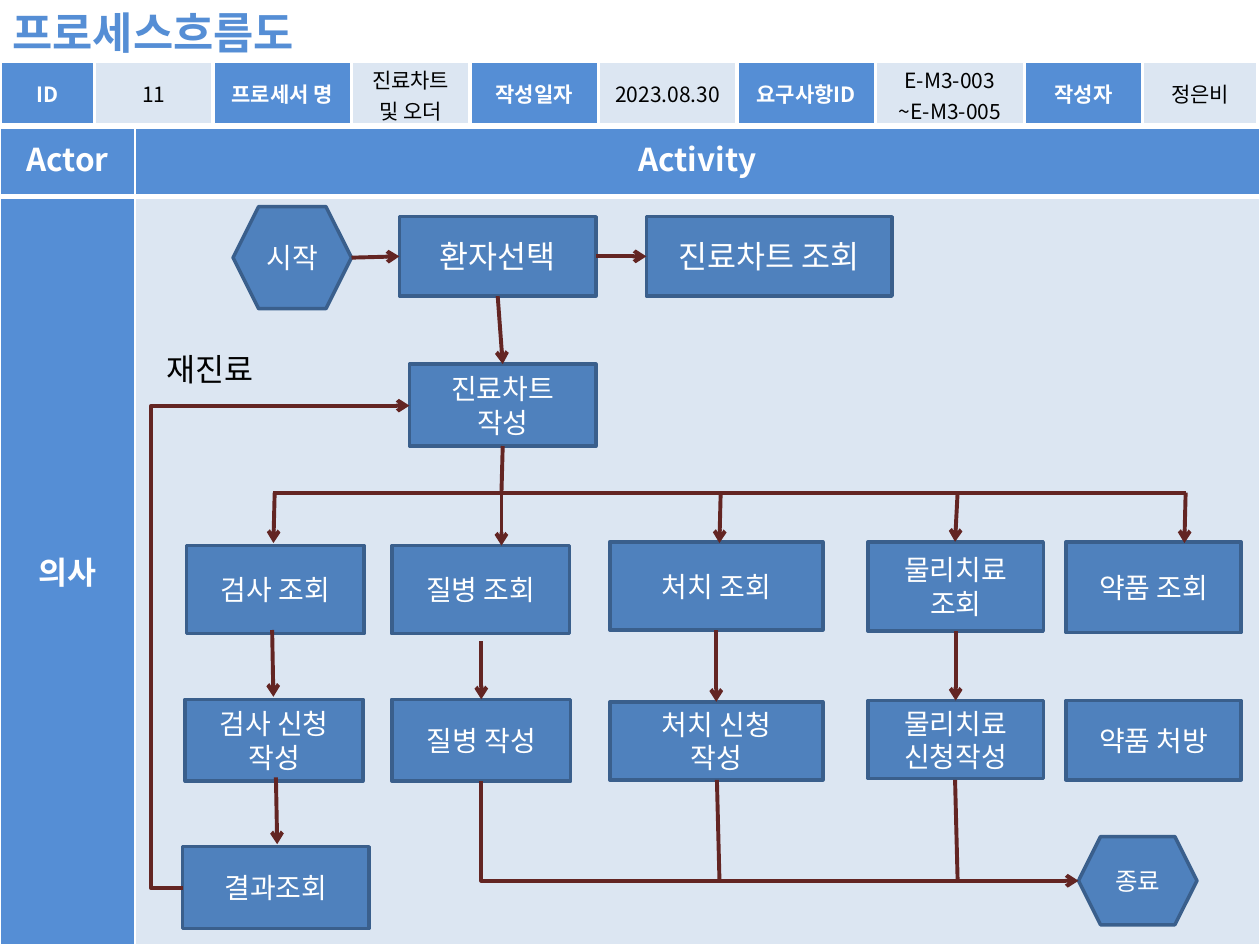
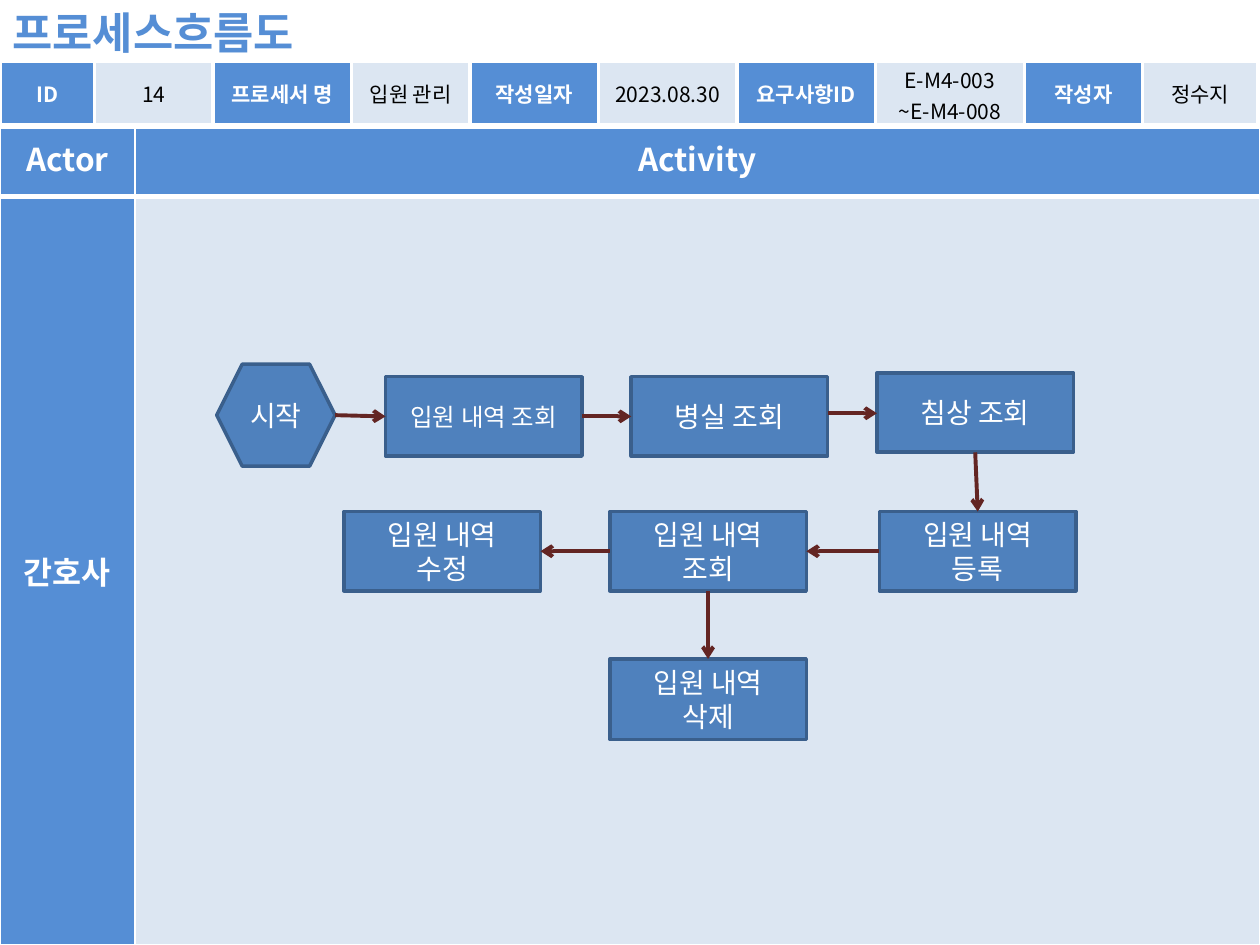
from lxml import etree
from pptx import Presentation
from pptx.dml.color import RGBColor
from pptx.enum.shapes import MSO_CONNECTOR, MSO_SHAPE
from pptx.enum.text import MSO_ANCHOR, MSO_AUTO_SIZE, PP_ALIGN
from pptx.oxml.ns import qn
from pptx.util import Inches, Pt

HEXAGON, RECTANGLE = MSO_SHAPE.HEXAGON, MSO_SHAPE.RECTANGLE
STRAIGHT, ELBOW = MSO_CONNECTOR.STRAIGHT, MSO_CONNECTOR.ELBOW
TOP, MIDDLE = MSO_ANCHOR.TOP, MSO_ANCHOR.MIDDLE
LEFT, CENTER = PP_ALIGN.LEFT, PP_ALIGN.CENTER
NO_AUTOFIT = MSO_AUTO_SIZE.NONE
TITLE_ONLY = 5

FONT = "Noto Sans CJK KR"
COLORS = {"band": "558ED5", "pale": "DCE6F2", "step": "4F81BD", "edge": "3A5F8C",
          "flow": "632523", "white": "FFFFFF", "black": "000000"}

TITLE = "프로세스흐름도"
INFO_LABELS = ["ID", "프로세서 명", "작성일자", "요구사항ID", "작성자"]
INFO_WIDTHS = [0.75, 0.94, 1.1, 0.94, 1.02, 1.1, 1.1, 1.18, 0.94, 0.91]
ACTOR_WIDTHS = [1.07, 8.93]
ACTOR_HEIGHTS = [0.54, 5.94]

CHART = {
    "info": ["11", "진료차트\n및 오더", "2023.08.30", "E-M3-003\n~E-M3-005", "정은비"],
    "actor": "의사",
    "terminals": [("시작", 1.85, 1.64, 0.94, 0.81, 16),
                  ("종료", 8.56, 6.64, 0.94, 0.7, 14)],
    "steps": [
        ("환자선택", 3.17, 1.72, 1.56, 0.63, 18),
        ("진료차트 조회", 5.13, 1.72, 1.95, 0.63, 18),
        ("진료차트\n작성", 3.25, 2.89, 1.48, 0.65, 16),
        ("검사 조회", 1.48, 4.33, 1.41, 0.7, 16),
        ("질병 조회", 3.11, 4.33, 1.41, 0.7, 16),
        ("처치 조회", 4.84, 4.3, 1.69, 0.7, 16),
        ("물리치료 조회", 6.89, 4.3, 1.39, 0.71, 16),
        ("약품 조회", 8.46, 4.3, 1.39, 0.72, 16),
        ("검사 신청\n작성", 1.47, 5.55, 1.41, 0.65, 16),
        ("질병 작성", 3.11, 5.55, 1.42, 0.65, 16),
        ("처치 신청\n작성", 4.84, 5.57, 1.69, 0.62, 16),
        ("물리치료 신청작성", 6.89, 5.56, 1.39, 0.62, 16),
        ("약품 처방", 8.46, 5.56, 1.39, 0.63, 16),
        ("결과조회", 1.45, 6.72, 1.48, 0.65, 16),
    ],
    "links": [
        ("시작", "right", "환자선택", "left"),
        ("환자선택", "right", "진료차트 조회", "left"),
        ("환자선택", "bottom", "진료차트\n작성", "top"),
        ("처치 조회", "bottom", "처치 신청\n작성", "top"),
        ("물리치료 조회", "bottom", "물리치료 신청작성", "top"),
    ],
    "arrows": [
        (2.16, 5, 2.17, 5.53), (3.82, 5.09, 3.82, 5.55), (2.19, 6.17, 2.2, 6.7),
        (2.18, 3.91, 2.17, 4.31), (3.98, 3.91, 3.98, 4.33), (5.72, 3.91, 5.71, 4.31),
        (7.6, 3.91, 7.58, 4.3), (9.41, 3.91, 9.4, 4.31),
    ],
    "lines": [(3.99, 3.54, 3.98, 3.91), (2.17, 3.91, 9.41, 3.91),
              (5.69, 6.19, 5.71, 6.98), (7.58, 6.19, 7.6, 6.98)],
    "loops": [(1.45, 7.05, 3.25, 3.22, -13900)],
    "corners": [(3.82, 6.2, 8.56, 6.99)],
    "notes": [("재진료", 1.22, 2.73, 0.96, 0.4, 18)],
}

ADMISSION = {
    "info": ["14", "입원 관리", "2023.08.30", "E-M4-003\n~E-M4-008", "정수지"],
    "actor": "간호사",
    "terminals": [("시작", 1.72, 2.89, 0.94, 0.81, 16)],
    "steps": [
        ("입원 내역 조회", 3.06, 2.99, 1.56, 0.63, 14),
        ("병실 조회", 5.01, 2.99, 1.56, 0.63, 16),
        ("침상 조회", 6.96, 2.96, 1.56, 0.63, 16),
        ("입원 내역\n등록", 6.98, 4.06, 1.56, 0.63, 16),
        ("입원 내역\n조회", 4.84, 4.06, 1.56, 0.63, 16),
        ("입원 내역\n수정", 2.73, 4.06, 1.56, 0.63, 16),
        ("입원 내역\n삭제", 4.84, 5.23, 1.56, 0.64, 16),
    ],
    "links": [
        ("시작", "right", "입원 내역 조회", "left"),
        ("입원 내역 조회", "right", "병실 조회", "left"),
        ("침상 조회", "bottom", "입원 내역\n등록", "top"),
        ("입원 내역\n등록", "left", "입원 내역\n조회", "right"),
        ("입원 내역\n조회", "left", "입원 내역\n수정", "right"),
        ("입원 내역\n조회", "bottom", "입원 내역\n삭제", "top"),
    ],
    "arrows": [(6.57, 3.28, 6.96, 3.28)],
}

SIDES = {"left": (0, 0.5), "right": (1, 0.5), "top": (0.5, 0), "bottom": (0.5, 1)}


def rgb(color):
    return RGBColor.from_string(COLORS[color])


def write(frame, text, size, color, bold=False, align=CENTER):
    frame.text = text
    look = {"name": FONT, "size": Pt(size), "bold": bold}
    for paragraph in frame.paragraphs:
        paragraph.alignment = align
        for run in paragraph.runs:
            for attribute, value in look.items():
                setattr(run.font, attribute, value)
            run.font.color.rgb = rgb(color)
            east_asian = etree.SubElement(run.font._element, qn("a:ea"))
            east_asian.set("typeface", FONT)


def write_label(shape, text, size, color, bold=False):
    frame = shape.text_frame
    layout = {"word_wrap": False, "auto_size": NO_AUTOFIT, "vertical_anchor": MIDDLE}
    for attribute, value in layout.items():
        setattr(frame, attribute, value)
    write(frame, text, size, color, bold, LEFT)


def add_grid(slide, top, widths, heights):
    grid = slide.shapes.add_table(len(heights), len(widths), 0, Inches(top),
                                  Inches(sum(widths)), Inches(sum(heights))).table
    for column, width in zip(grid.columns, widths):
        column.width = Inches(width)
    for row, height in zip(grid.rows, heights):
        row.height = Inches(height)
    return grid


def fill_cell(cell, text, size, fill, color, bold, borders, anchor=MIDDLE):
    if text:
        write(cell.text_frame, text, size, color, bold)
    cell.vertical_anchor = anchor
    cell.fill.solid()
    cell.fill.fore_color.rgb = rgb(fill)
    properties = cell._tc.get_or_add_tcPr()
    for place, (side, width) in enumerate(zip("LRTB", borders)):
        border = etree.Element(qn(f"a:ln{side}"), w=str(Pt(width)))
        paint = etree.SubElement(border, qn("a:solidFill"))
        etree.SubElement(paint, qn("a:srgbClr"), val=COLORS["white"])
        properties.insert(place, border)


def add_info(slide, values):
    grid = add_grid(slide, 0.49, INFO_WIDTHS, [0.5])
    for pair, (label, value) in enumerate(zip(INFO_LABELS, values)):
        name_cell, value_cell = grid.cell(0, 2 * pair), grid.cell(0, 2 * pair + 1)
        fill_cell(name_cell, label, 12, "band", "white", True, [2.25] * 4)
        fill_cell(value_cell, value, 12, "pale", "black", False, [2.25] * 4)
        if "\n" in value:
            value_cell.margin_top, value_cell.margin_bottom = Inches(0.02), 0


def add_lanes(slide, actor):
    grid = add_grid(slide, 1.02, ACTOR_WIDTHS, ACTOR_HEIGHTS)
    for column, heading in enumerate(["Actor", "Activity"]):
        fill_cell(grid.cell(0, column), heading, 18, "band", "white", True, (1, 1, 1, 3), TOP)
    for column, (text, fill) in enumerate([(actor, "band"), ("", "pale")]):
        fill_cell(grid.cell(1, column), text, 18, fill, "white", True, (1, 1, 3, 1))


def add_step(slide, outline, text, left, top, width, height, size):
    step = slide.shapes.add_shape(outline, *map(Inches, (left, top, width, height)))
    step.shadow.inherit = False
    step.fill.solid()
    step.fill.fore_color.rgb = rgb("step")
    step.line.color.rgb = rgb("edge")
    step.line.width = Pt(2)
    step.text_frame.word_wrap = True
    step.text_frame.vertical_anchor = MIDDLE
    write(step.text_frame, text, size, "white")


def add_flow(slide, ends, arrow=True, kind=STRAIGHT):
    flow = slide.shapes.add_connector(kind, *map(Inches, ends))
    flow.line.color.rgb = rgb("flow")
    flow.line.width = Pt(2.25)
    if arrow:
        etree.SubElement(flow.line._get_or_add_ln(), qn("a:tailEnd"), type="arrow")
    etree.SubElement(flow._element.spPr, qn("a:effectLst"))
    return flow


def add_loop(slide, *ends, bend):
    loop = add_flow(slide, ends, kind=ELBOW)
    guides = loop._element.spPr.find(qn("a:prstGeom")).get_or_add_avLst()
    etree.SubElement(guides, qn("a:gd"), name="adj1", fmla=f"val {bend}")


def add_corner(slide, x1, y1, x2, y2):
    middle_x, middle_y = (x1 + x2) / 2, (y1 + y2) / 2
    half_width, half_height = (y2 - y1) / 2, (x2 - x1) / 2
    corner = add_flow(slide, (middle_x + half_width, middle_y - half_height,
                              middle_x - half_width, middle_y + half_height), kind=ELBOW)
    properties = corner._element.spPr
    properties.find(qn("a:prstGeom")).set("prst", "bentConnector2")
    properties.find(qn("a:xfrm")).set("rot", str(270 * 60000))


def side_point(box, side):
    left, top, width, height = box
    across, down = SIDES[side]
    return left + across * width, top + down * height


def build_slide(deck, process):
    slide = deck.slides.add_slide(deck.slide_layouts[TITLE_ONLY])
    title = slide.shapes.title
    position = {"left": 0, "top": -0.01, "width": 2.66, "height": 0.52}
    for attribute, value in position.items():
        setattr(title, attribute, Inches(value))
    write_label(title, TITLE, 25, "band", True)
    add_lanes(slide, process["actor"])
    add_info(slide, process["info"])

    boxes = {}
    for group, outline in (("terminals", HEXAGON), ("steps", RECTANGLE)):
        for text, *box, size in process[group]:
            add_step(slide, outline, text, *box, size)
            boxes[text] = box
    for start, start_side, end, end_side in process["links"]:
        add_flow(slide, side_point(boxes[start], start_side) + side_point(boxes[end], end_side))
    for ends in process["arrows"]:
        add_flow(slide, ends)
    for ends in process.get("lines", []):
        add_flow(slide, ends, arrow=False)
    for *ends, bend in process.get("loops", []):
        add_loop(slide, *ends, bend=bend)
    for ends in process.get("corners", []):
        add_corner(slide, *ends)
    for text, *box, size in process.get("notes", []):
        write_label(slide.shapes.add_textbox(*map(Inches, box)), text, size, "black")


def main():
    deck = Presentation()
    deck.slide_width, deck.slide_height = Inches(10), Inches(7.5)
    for process in (CHART, ADMISSION):
        build_slide(deck, process)
    deck.save("out.pptx")


if __name__ == "__main__":
    main()
